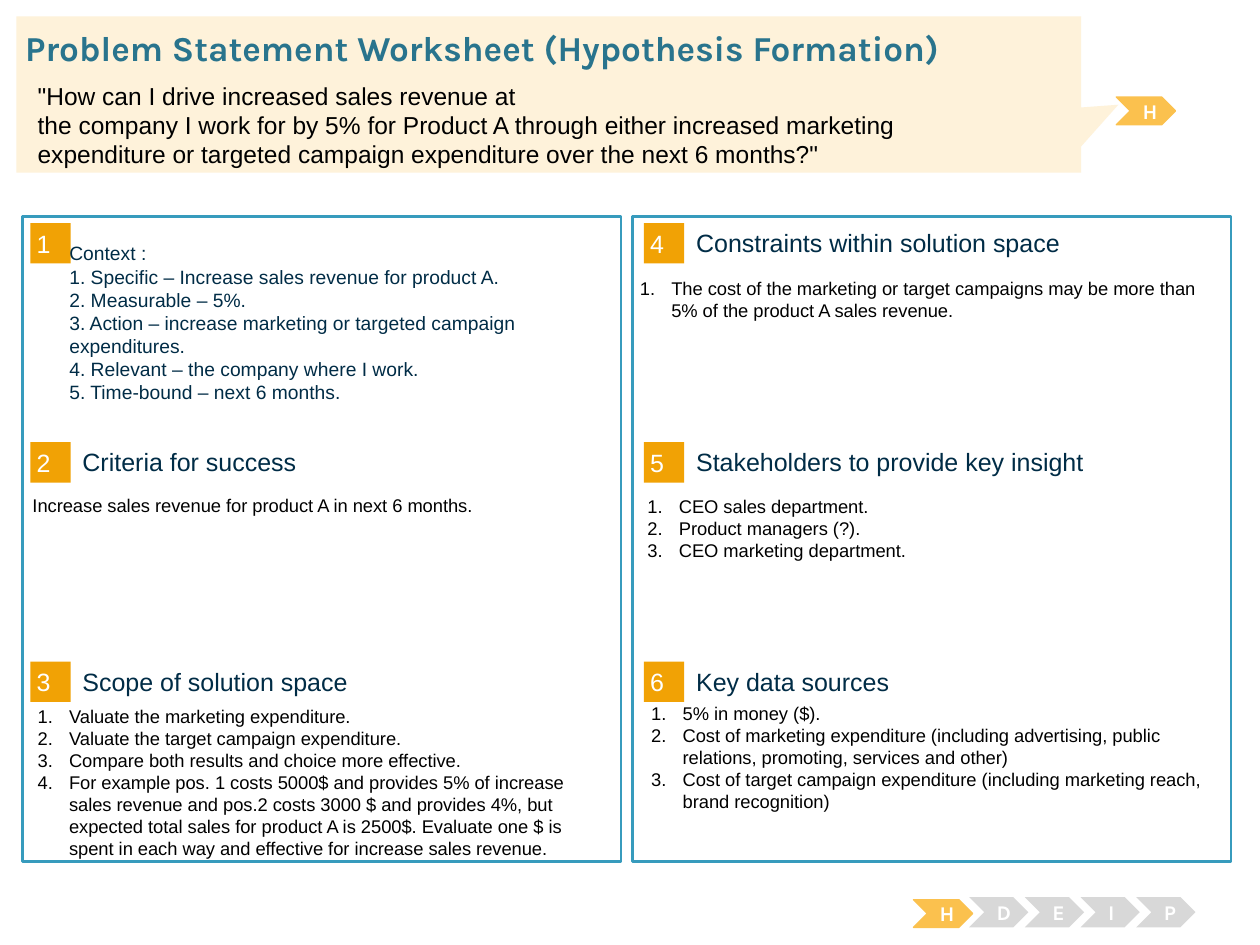
from dataclasses import dataclass
from lxml import etree
from pptx import Presentation
from pptx import util as u
from pptx.dml.color import RGBColor
from pptx.enum import shapes, text
from pptx.oxml.ns import qn

CELL = 0.1  # grid of 100 columns by 75 rows, in inches
SHAPE = shapes.MSO_SHAPE
MIDDLE, TOP = text.MSO_ANCHOR.MIDDLE, text.MSO_ANCHOR.TOP
INSET, BADGE_INSET, FLUSH = (1, 0.5), (0.5, 0.5), (0, 0)


@dataclass(frozen=True)
class Theme:
    body_font: str = "Arial"
    head_font: str = "Karla"
    title: str = "29748D"
    navy: str = "002C46"
    black: str = "000000"
    white: str = "FFFFFF"
    border: str = "379BBD"
    badge: str = "F1A205"
    active: str = "FBC14E"
    idle: str = "D8D8D8"
    cream: str = "FEF2DA"
    title_size: float = 20
    question_size: float = 14
    heading_size: float = 14.3
    context_size: float = 11
    body_size: float = 10.5
    step_size: float = 12


T = Theme()


def grid(n):
    return u.Inches(n * CELL)


def write(sp, lines, size, color, font=T.body_font, bold=None, inset=INSET,
          anchor=TOP, align=None, numbered=False):
    """Fill a shape or text box with one paragraph per line."""
    tf = sp.text_frame
    tf.word_wrap = True
    tf.vertical_anchor = anchor
    tf.margin_left = tf.margin_right = grid(inset[0])
    tf.margin_top = tf.margin_bottom = grid(inset[1])
    tf.text = "\n".join(lines)
    for p in tf.paragraphs:
        p.alignment = align or text.PP_ALIGN.LEFT
        if numbered:
            pPr = p._p.get_or_add_pPr()
            pPr.set("marL", str(grid(2.5)))
            pPr.set("indent", str(-grid(2.5)))
            etree.SubElement(pPr, qn("a:buFont"), typeface=T.body_font)
            etree.SubElement(pPr, qn("a:buAutoNum"), type="arabicPeriod")
        for r in p.runs:
            f = r.font
            f.name, f.size, f.bold = font, u.Pt(size), bold
            f.color.rgb = RGBColor.from_string(color)


def add_text(s, box, lines, size, color, **style):
    write(s.shapes.add_textbox(*map(grid, box)), lines, size, color, **style)


def add_block(s, kind, box, fill, line=None, width=0.75):
    sp = s.shapes.add_shape(kind, *map(grid, box))
    sp.shadow.inherit = False
    sp.fill.solid()
    sp.fill.fore_color.rgb = RGBColor.from_string(fill)
    if line:
        sp.line.color.rgb = RGBColor.from_string(line)
        sp.line.width = u.Pt(width)
    else:
        sp.line.fill.background()
    return sp


def step(s, x, y, letter, active=False):
    """One chevron of the process tracker."""
    if active:
        sp = add_block(s, SHAPE.CHEVRON, (x, y, 4.7, 2.2), T.active, T.active)
    else:
        sp = add_block(s, SHAPE.CHEVRON, (x, y, 4.7, 2.4), T.idle)
    write(sp, [letter], T.step_size, T.white, font=T.head_font, bold=True,
          anchor=MIDDLE, align=text.PP_ALIGN.CENTER)


def tracker(s, x, y, letters, pitch=4.42):
    for i, letter in enumerate(letters):
        active = i == 0
        step(s, x + i * pitch, y + (0.2 if active else 0), letter, active)


def header(s, x, y, w, h, title, question):
    """Callout with the title and the problem question."""
    sp = add_block(s, SHAPE.RECTANGULAR_CALLOUT, (x, y, w, h), T.cream)
    sp.adjustments[0], sp.adjustments[1] = 0.535, 0.066
    add_text(s, (x + 0.7, y + 0.8, 96.2, 3.4), [title], T.title_size, T.title,
             font=T.head_font, bold=True, inset=FLUSH)
    add_text(s, (x + 0.7, y + 4.6, 93.9, 5.4), question, T.question_size, T.black)


def panel(s, x, y, w, h, badge_dx, first, sections):
    """Bordered column of numbered sections on equal rows.

    Each section is (heading, body lines, body offset, numbered);
    the offset is measured from the section's badge.
    """
    add_block(s, SHAPE.RECTANGLE, (x, y, w, h), T.white, T.border, 1.5)
    row = 17.4
    for i, (heading, body, (dx, dy), numbered) in enumerate(sections):
        bx, by = x + badge_dx, y + 0.5 + i * row
        sp = add_block(s, SHAPE.RECTANGLE, (bx, by, 3.2, 3.2), T.badge)
        write(sp, [str(first + i)], T.heading_size, T.white,
              inset=BADGE_INSET, anchor=MIDDLE)
        if heading:
            add_text(s, (bx + 4.15, by + 0.3, 39.3, 2.5), [heading],
                     T.heading_size, T.navy, inset=FLUSH, anchor=MIDDLE)
            add_text(s, (bx + dx, by + dy, 47.3, 12), body,
                     T.body_size, T.black, numbered=numbered)
        else:
            add_text(s, (bx + dx, by + dy, 40.2, 12.8), body,
                     T.context_size, T.navy, inset=FLUSH, anchor=MIDDLE)


TITLE = "Problem Statement Worksheet (Hypothesis Formation)"
QUESTION = [
    '"How can I drive increased sales revenue at',
    "the company I work for by 5% for Product A through either increased marketing",
    'expenditure or targeted campaign expenditure over the next 6 months?"',
]
LEFT = [
    (None, [
        "Context :",
        "1. Specific – Increase sales revenue for product A.",
        "2. Measurable – 5%.",
        "3. Action – increase marketing or targeted campaign expenditures.",
        "4. Relevant – the company where I work.",
        "5. Time-bound – next 6 months.",
    ], (3.1, 1.5), False),
    ("Criteria for success",
     ["Increase sales revenue for product A in next 6 months."], (-0.8, 3.6), False),
    ("Scope of solution space", [
        "Valuate the marketing expenditure.",
        "Valuate the target campaign expenditure.",
        "Compare both results and choice more effective.",
        "For example pos. 1 costs 5000$ and provides 5% of increase sales revenue "
        "and pos.2 costs 3000 $ and provides 4%, but expected total sales for "
        "product A is 2500$. Evaluate one $ is spent in each way and effective "
        "for increase sales revenue.",
    ], (-0.4, 3), True),
]
RIGHT = [
    ("Constraints within solution space", [
        "The cost of the marketing or target campaigns may be more than 5% of "
        "the product A sales revenue.",
    ], (-1.3, 3.8), True),
    ("Stakeholders to provide key insight", [
        "CEO sales department.",
        "Product managers (?).",
        "CEO marketing department.",
    ], (-0.7, 3.7), True),
    ("Key data sources", [
        "5% in money ($).",
        "Cost of marketing expenditure (including advertising, public relations, "
        "promoting, services and other)",
        "Cost of target campaign expenditure (including marketing reach, "
        "brand recognition)",
    ], (-0.4, 2.7), True),
]


def main():
    prs = Presentation()
    prs.slide_width, prs.slide_height = grid(100), grid(75)
    s = prs.slides.add_slide(prs.slide_layouts[6])

    # Worksheet columns
    panel(s, 1.8, 17.2, 47.5, 51.2, 0.6, 1, LEFT)
    panel(s, 50.2, 17.2, 47.5, 51.2, 0.9, 4, RIGHT)

    # Process tracker and the marker of the current step
    tracker(s, 72.5, 71.2, "HDEIP")
    step(s, 88.6, 7.7, "H", active=True)

    # Problem statement
    header(s, 1.3, 1.3, 84.5, 12.4, TITLE, QUESTION)

    prs.save("out.pptx")


if __name__ == "__main__":
    main()
